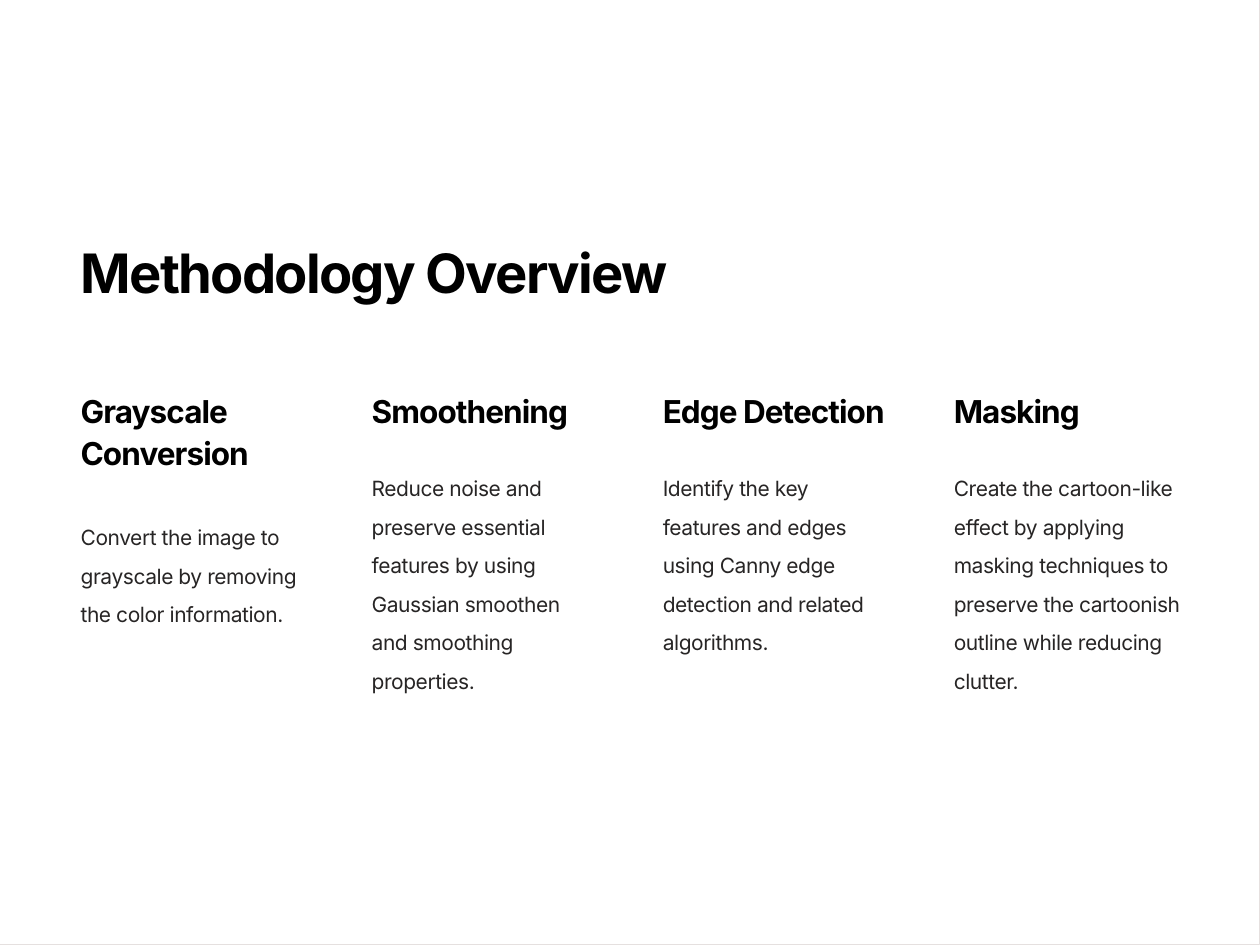
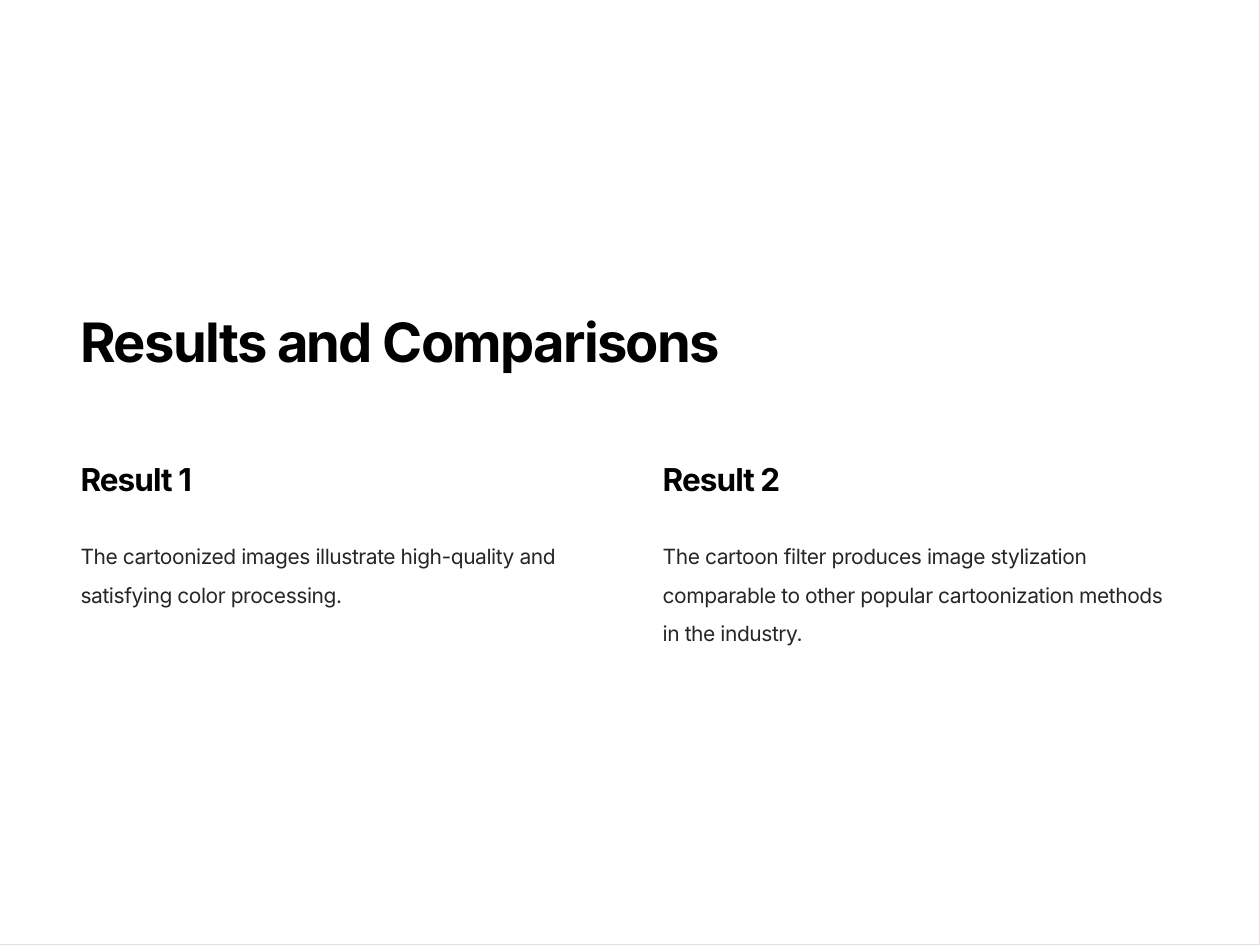
from dataclasses import dataclass

from pptx import Presentation
from pptx import util as u
from pptx.dml.color import RGBColor
from pptx.enum import shapes, text
from pptx.oxml.ns import qn


@dataclass(frozen=True)
class Style:
    size: float
    leading: float
    spacing: float
    color: RGBColor
    bold: bool


class Theme:
    font = "Inter"
    paper = RGBColor(0xFF, 0xFF, 0xFF)
    border = RGBColor(0xE5, 0xE0, 0xDF)
    black = RGBColor(0, 0, 0)
    ink = RGBColor(0x27, 0x25, 0x25)
    title = Style(31, 39.8, -0.93, black, True)
    heading = Style(18, 23.9, -0.54, black, True)
    body = Style(12, 22, -0.25, ink, False)


def write(shape, words, style, box):
    """Place a text shape at box (inches) and fill it with one styled paragraph."""
    shape.left, shape.top, shape.width, shape.height = map(u.Inches, box)
    frame = shape.text_frame
    frame.text = words
    frame.auto_size = text.MSO_AUTO_SIZE.NONE
    frame.word_wrap = True
    frame.vertical_anchor = text.MSO_ANCHOR.TOP
    frame.margin_left = frame.margin_right = u.Inches(0.07)
    frame.margin_top = frame.margin_bottom = u.Inches(0.04)
    paragraph = frame.paragraphs[0]
    paragraph.alignment = text.PP_ALIGN.LEFT
    paragraph.line_spacing = u.Pt(style.leading)
    paragraph.space_before = u.Pt(0)
    font = paragraph.font
    font.name, font.size, font.bold = Theme.font, u.Pt(style.size), style.bold
    font.color.rgb = style.color
    letters = paragraph._p.pPr.find(qn("a:defRPr"))
    letters.set("spc", str(round(style.spacing * 100)))


LEFT = 0.57
TITLE_WIDTH = 6
TITLE_HEIGHT = 0.65
COLUMN_GAP = 0.36
BODY_GAP = 0.2
HEADING_LINE = 0.39

# Title, title top, heading top, column width,
# columns of (heading, heading lines, body, body height)
SLIDES = [
    ("Methodology Overview", 1.82, 3.04, 1.95, [
        ("Grayscale Conversion", 2,
         "Convert the image to grayscale by removing the color information.", 1.09),
        ("Smoothening", 1,
         "Reduce noise and preserve essential features by using Gaussian "
         "smoothen and smoothing properties.", 1.45),
        ("Edge Detection", 1,
         "Identify the key features and edges using Canny edge detection "
         "and related algorithms.", 1.45),
        ("Masking", 1,
         "Create the cartoon-like effect by applying masking techniques to "
         "preserve the cartoonish outline while reducing clutter.", 1.81),
    ]),
    ("Results and Comparisons", 2.37, 3.58, 4.26, [
        ("Result 1", 1,
         "The cartoonized images illustrate high-quality and satisfying "
         "color processing.", 0.72),
        ("Result 2", 1,
         "The cartoon filter produces image stylization comparable to other "
         "popular cartoonization methods in the industry.", 1.09),
    ]),
]

deck = Presentation()
deck.slide_width, deck.slide_height = u.Inches(10), u.Inches(7.5)
title_only = deck.slide_layouts[5]

for title, title_top, heading_top, column_width, columns in SLIDES:
    slide = deck.slides.add_slide(title_only)

    page = slide.shapes.add_shape(
        shapes.MSO_SHAPE.RECTANGLE, 0, 0, deck.slide_width, deck.slide_height)
    page.shadow.inherit = False
    page.fill.solid()
    page.fill.fore_color.rgb = Theme.paper
    page.line.color.rgb = Theme.border
    page.line.width = u.Pt(0.6)
    slide.shapes.title._element.addprevious(page._element)

    write(slide.shapes.title, title, Theme.title,
          (LEFT, title_top, TITLE_WIDTH, TITLE_HEIGHT))

    for index, (heading, lines, body, body_height) in enumerate(columns):
        left = LEFT + index * (column_width + COLUMN_GAP)
        heading_height = lines * HEADING_LINE
        body_top = heading_top + heading_height + BODY_GAP
        write(slide.shapes.add_textbox(0, 0, 0, 0), heading, Theme.heading,
              (left, heading_top, column_width, heading_height))
        write(slide.shapes.add_textbox(0, 0, 0, 0), body, Theme.body,
              (left, body_top, column_width, body_height))

deck.save("out.pptx")
